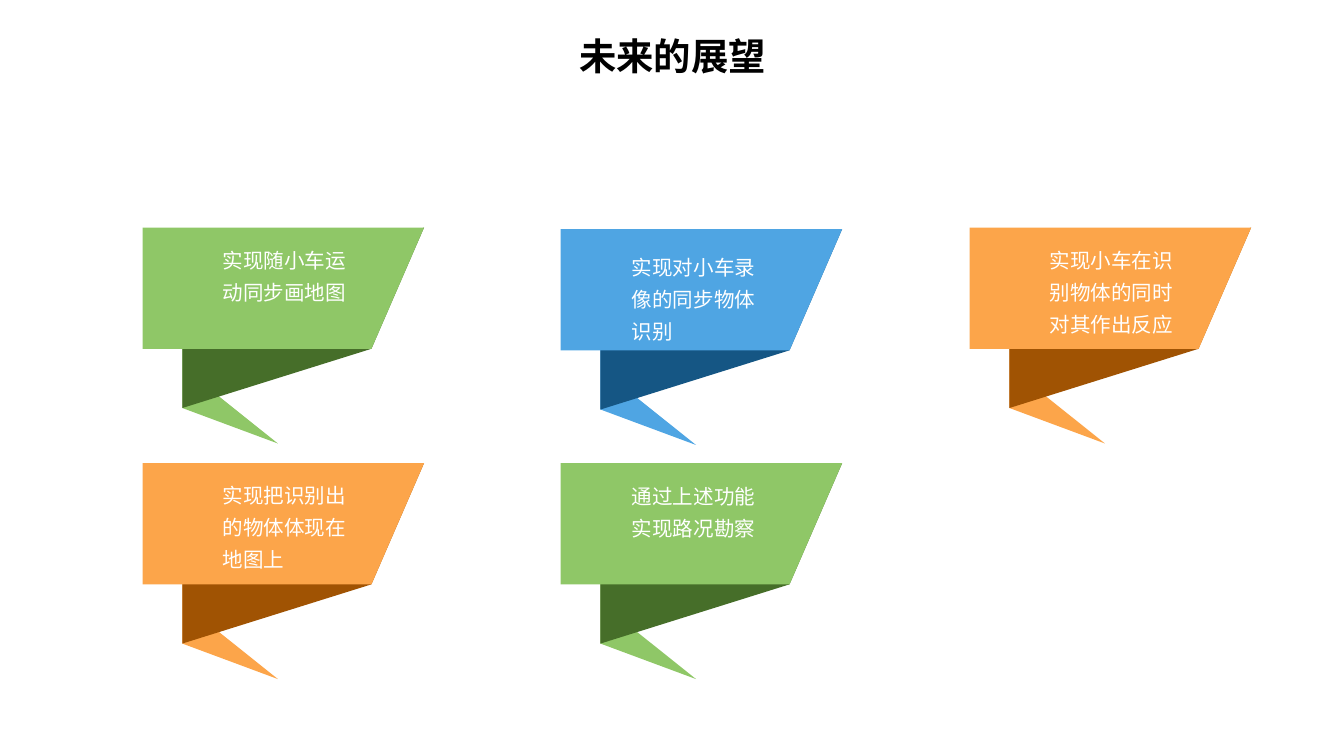
import dataclasses

import pptx
import pptx.dml.color
import pptx.enum.text
import pptx.oxml.ns
import pptx.util
from lxml import etree

Pt = pptx.util.Pt
Color = pptx.dml.color.RGBColor.from_string


@dataclasses.dataclass(frozen=True)
class Theme:
    title_color: str = "000000"
    label_color: str = "FFFFFF"
    title_size: int = 20
    label_size: int = 11
    title_font: str = "Arial"
    chinese_font: str = "Noto Sans CJK SC"
    # each ribbon has a front colour and a darker fold colour
    green: tuple = ("8FC767", "466E29")
    blue: tuple = ("4FA5E3", "155684")
    orange: tuple = ("FCA54A", "A05303")


theme = Theme()

deck = pptx.Presentation()
deck.slide_width, deck.slide_height = Pt(720), Pt(405)
page = deck.slides.add_slide(deck.slide_layouts[6])


def add_text(text, left, top, width, height, size, color, latin_font):
    box = page.shapes.add_textbox(Pt(left), Pt(top), Pt(width), Pt(height))
    box.text_frame.word_wrap = True
    para = box.text_frame.paragraphs[0]
    para.text = text
    para.font.size = Pt(size)
    para.font.color.rgb = Color(color)
    para.font.name = latin_font
    defaults = para._p.pPr.find(pptx.oxml.ns.qn("a:defRPr"))
    etree.SubElement(defaults, pptx.oxml.ns.qn("a:ea"), typeface=theme.chinese_font)
    return box.text_frame, para


def add_polygon(points, left, top, color):
    """Draw a closed outline whose points are relative to left and top."""
    corners = [(Pt(left + x), Pt(top + y)) for x, y in points]
    builder = page.shapes.build_freeform(*corners[0], scale=1.0)
    builder.add_line_segments(corners[1:], close=True)
    polygon = builder.convert_to_shape()
    polygon.shadow.inherit = False
    polygon.fill.solid()
    polygon.fill.fore_color.rgb = Color(color)
    polygon.line.fill.background()


frame, title = add_text("未来的展望", 222.5, 13, 275.8, 36.7,
                        theme.title_size, theme.title_color, theme.title_font)
frame.vertical_anchor = pptx.enum.text.MSO_ANCHOR.MIDDLE
title.alignment = pptx.enum.text.PP_ALIGN.CENTER
title.line_spacing = 0.9
title.font.bold = True

# Ribbon outlines, relative to the ribbon's top left corner
TAIL = [(21.3, 96.7), (72.5, 115.7), (32.2, 83.5), (21.3, 48.6)]
FOLD = [(21.3, 96.7), (122.6, 65), (150.8, 0), (21.3, 48.6)]
FRONT = [(0, 65), (122.6, 65), (150.8, 0), (0, 0)]

# left, top, colours, label left, label top, label height, label
ribbons = [
    (76.4, 121.9, theme.green, 112.2, 125.2, 41.8, "实现随小车运动同步画地图"),
    (300.4, 122.7, theme.blue, 331.4, 129, 59, "实现对小车录像的同步物体识别"),
    (519.5, 121.9, theme.orange, 555.2, 125.2, 59, "实现小车在识别物体的同时对其作出反应"),
    (76.4, 248.1, theme.orange, 112.2, 251.3, 59, "实现把识别出的物体体现在地图上"),
    (300.4, 248.1, theme.green, 331.4, 251.8, 41.8, "通过上述功能实现路况勘察"),
]

for left, top, (front, fold), label_left, label_top, label_height, label in ribbons:
    for points, color in ((TAIL, front), (FOLD, fold), (FRONT, front)):
        add_polygon(points, left, top, color)
    frame, para = add_text(label, label_left, label_top, 88.6, label_height,
                           theme.label_size, theme.label_color, theme.chinese_font)
    frame.auto_size = pptx.enum.text.MSO_AUTO_SIZE.SHAPE_TO_FIT_TEXT
    para.line_spacing = 1.3

deck.save("out.pptx")
